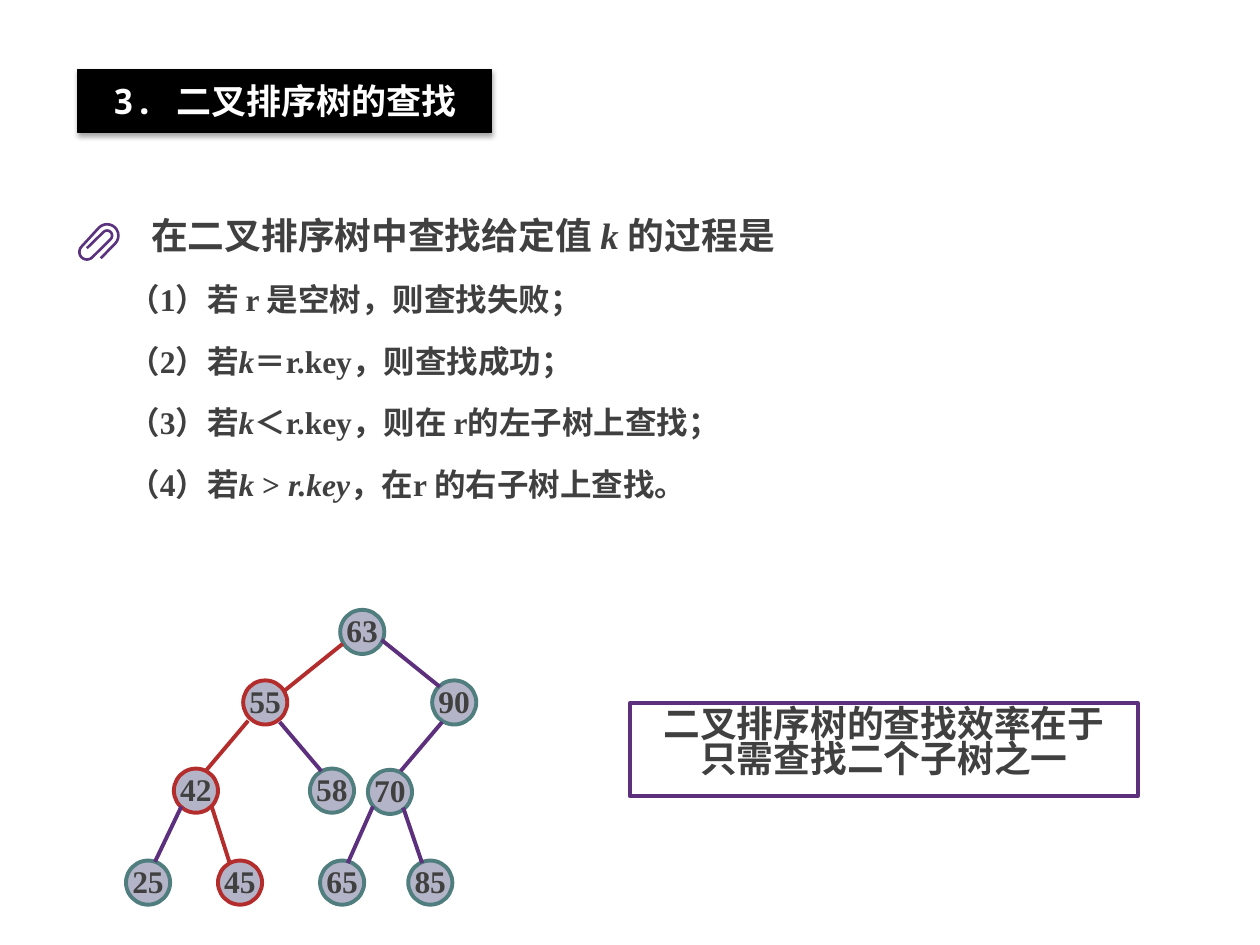
from dataclasses import dataclass
from math import cos, radians, sin

from lxml.etree import SubElement
from pptx import Presentation
from pptx.dml.color import RGBColor
from pptx.enum.shapes import MSO_CONNECTOR, MSO_SHAPE
from pptx.enum.text import MSO_ANCHOR, PP_ALIGN
from pptx.oxml.ns import qn
from pptx.util import Inches, Pt

BLACK = RGBColor(0x00, 0x00, 0x00)
WHITE = RGBColor(0xFF, 0xFF, 0xFF)
TEXT_GRAY = RGBColor(0x40, 0x40, 0x40)
PURPLE = RGBColor(0x5C, 0x30, 0x7D)
CLIP_PURPLE = RGBColor(0x5A, 0x32, 0x7D)
TEAL = RGBColor(0x50, 0x7D, 0x7D)
RED = RGBColor(0xB4, 0x2D, 0x2D)
NODE_FILL = RGBColor(0xB4, 0xB4, 0xC8)

SERIF = "Times New Roman"
MONO = "Noto Sans Mono"
NODE_SIZE = 0.35
LINE_WIDTH = Pt(2.25)


@dataclass(frozen=True)
class Node:
    key: int
    left: float
    top: float
    visited: bool = False


@dataclass(frozen=True)
class Edge:
    start: tuple[float, float]
    end: tuple[float, float]
    visited: bool = False


@dataclass(frozen=True)
class Run:
    text: str
    italic: bool = False


NODES = [
    Node(63, 2.7, 4.84),
    Node(55, 1.93, 5.4, True),
    Node(90, 3.43, 5.4),
    Node(42, 1.38, 6.1, True),
    Node(58, 2.46, 6.1),
    Node(70, 2.92, 6.11),
    Node(25, 1, 6.83),
    Node(45, 1.73, 6.83, True),
    Node(65, 2.54, 6.83),
    Node(85, 3.24, 6.83),
]
EDGES = [
    Edge((2.72, 5.11), (2.26, 5.48), True),
    Edge((3.03, 5.08), (3.49, 5.45)),
    Edge((1.97, 5.72), (1.64, 6.11), True),
    Edge((2.22, 5.73), (2.55, 6.12)),
    Edge((3.51, 5.73), (3.18, 6.12)),
    Edge((1.44, 6.4), (1.23, 6.84)),
    Edge((1.68, 6.4), (1.82, 6.84), True),
    Edge((2.96, 6.4), (2.76, 6.85)),
    Edge((3.2, 6.41), (3.35, 6.85)),
]
HEADING = [Run("在二叉排序树中查找给定值 "), Run("k ", True), Run("的过程是")]
STEPS = [
    [Run("（1）若 r 是空树，则查找失败；")],
    [Run("（2）若"), Run("k", True), Run("＝r.key，则查找成功；")],
    [Run("（3）若"), Run("k", True), Run("＜r.key，则在 r的左子树上查找；")],
    [Run("（4）若"), Run("k ", True), Run("> "), Run("r.key", True),
     Run("，在r 的右子树上查找。")],
]
CONCLUSION = [[Run("二叉排序树的查找效率在于")], [Run("只需查找二个子树之一")]]


def write(shape, lines: list[list[Run]], size: float, *, font: str = SERIF,
          color: RGBColor = TEXT_GRAY, alignment=PP_ALIGN.LEFT, spacing=None,
          gap: float = 0, anchor=MSO_ANCHOR.TOP, wrap: bool = True) -> None:
    """Fill a shape with bold paragraphs; gap is the space between them in points."""
    frame = shape.text_frame
    frame.word_wrap = wrap
    frame.vertical_anchor = anchor
    for index, line in enumerate(lines):
        paragraph = frame.add_paragraph() if index else frame.paragraphs[0]
        paragraph.alignment = alignment
        paragraph.line_spacing = spacing
        paragraph.space_before = Pt(gap if index else 0)
        for part in line:
            run = paragraph.add_run()
            run.text = part.text
            run.font.name = font
            run.font.size = Pt(size)
            run.font.bold = True
            run.font.italic = part.italic
            run.font.color.rgb = color


def add_text(slide, left: float, top: float, width: float, height: float):
    return slide.shapes.add_textbox(
        Inches(left), Inches(top), Inches(width), Inches(height))


def add_outlined(slide, preset, left: float, top: float, width: float, height: float,
                 line: RGBColor, fill: RGBColor | None = None, line_width=LINE_WIDTH):
    shape = slide.shapes.add_shape(
        preset, Inches(left), Inches(top), Inches(width), Inches(height))
    shape.shadow.inherit = False
    if fill is None:
        shape.fill.background()
    else:
        shape.fill.solid()
        shape.fill.fore_color.rgb = fill
    shape.line.color.rgb = line
    shape.line.width = line_width
    return shape


def add_title(slide) -> None:
    banner = add_outlined(slide, MSO_SHAPE.RECTANGLE, 0.62, 0.55, 3.28, 0.5,
                          BLACK, BLACK, Pt(0.75))
    effects = banner._element.spPr.find(qn("a:effectLst"))
    shadow = SubElement(effects, qn("a:outerShdw"), blurRad=str(Pt(3.1)),
                        dist=str(Pt(1.8)), dir="5400000", rotWithShape="0")
    shade = SubElement(shadow, qn("a:srgbClr"), val=str(BLACK))
    SubElement(shade, qn("a:alpha"), val="35000")
    frame = banner.text_frame
    frame.margin_top = frame.margin_bottom = Inches(0.08)
    write(banner, [[Run("3. 二叉排序树的查找")]], 20, font=MONO, color=WHITE,
          alignment=PP_ALIGN.CENTER, anchor=MSO_ANCHOR.MIDDLE)


def add_paperclip(slide) -> None:
    """Draw one bent wire: three half turns joined by straight diagonals."""
    turns = [(0.85, 1.87, 0.09, 45), (0.69, 2.0, 0.06, 225), (0.85, 1.87, 0.04, 45)]
    points = [(0.8, 2.05)]
    for center_x, center_y, radius, first_angle in turns:
        for step in range(0, 181, 15):
            angle = radians(first_angle - step)
            points.append((center_x + radius * cos(angle),
                           center_y + radius * sin(angle)))
    points.append((0.69, 1.97))
    wire = [(Inches(x), Inches(y)) for x, y in points]
    builder = slide.shapes.build_freeform(*wire[0])
    builder.add_line_segments(wire[1:], close=False)
    clip = builder.convert_to_shape()
    clip.shadow.inherit = False
    clip.fill.background()
    clip.line.color.rgb = CLIP_PURPLE
    clip.line.width = Pt(1.5)


def add_node(slide, node: Node) -> None:
    circle = add_outlined(slide, MSO_SHAPE.OVAL, node.left, node.top, NODE_SIZE,
                          NODE_SIZE, RED if node.visited else TEAL, NODE_FILL)
    frame = circle.text_frame
    frame.margin_left = frame.margin_right = 0
    frame.margin_top = frame.margin_bottom = 0
    write(circle, [[Run(str(node.key))]], 18, alignment=PP_ALIGN.CENTER,
          spacing=Pt(19.5), anchor=MSO_ANCHOR.MIDDLE, wrap=False)


def add_edge(slide, edge: Edge) -> None:
    ends = [Inches(value) for value in (*edge.start, *edge.end)]
    connector = slide.shapes.add_connector(MSO_CONNECTOR.STRAIGHT, *ends)
    connector.line.color.rgb = RED if edge.visited else PURPLE
    connector.line.width = LINE_WIDTH
    SubElement(connector._element.spPr, qn("a:effectLst"))


def main() -> None:
    presentation = Presentation()
    presentation.slide_width = Inches(10)
    presentation.slide_height = Inches(7.5)
    slide = presentation.slides.add_slide(presentation.slide_layouts[6])

    write(add_text(slide, 1.1, 1.71, 6.98, 0.38), [HEADING], 21, spacing=0.8)
    write(add_text(slide, 0.92, 2.11, 8.46, 1.98), STEPS, 18,
          spacing=Pt(26.2), gap=9)
    conclusion = add_outlined(slide, MSO_SHAPE.RECTANGLE, 5, 5.58, 4.03, 0.74, PURPLE)
    write(conclusion, CONCLUSION, 21, alignment=PP_ALIGN.CENTER, spacing=0.8)
    for node in NODES:
        add_node(slide, node)
    for edge in EDGES:
        add_edge(slide, edge)
    add_paperclip(slide)
    add_title(slide)
    presentation.save("out.pptx")


if __name__ == "__main__":
    main()
